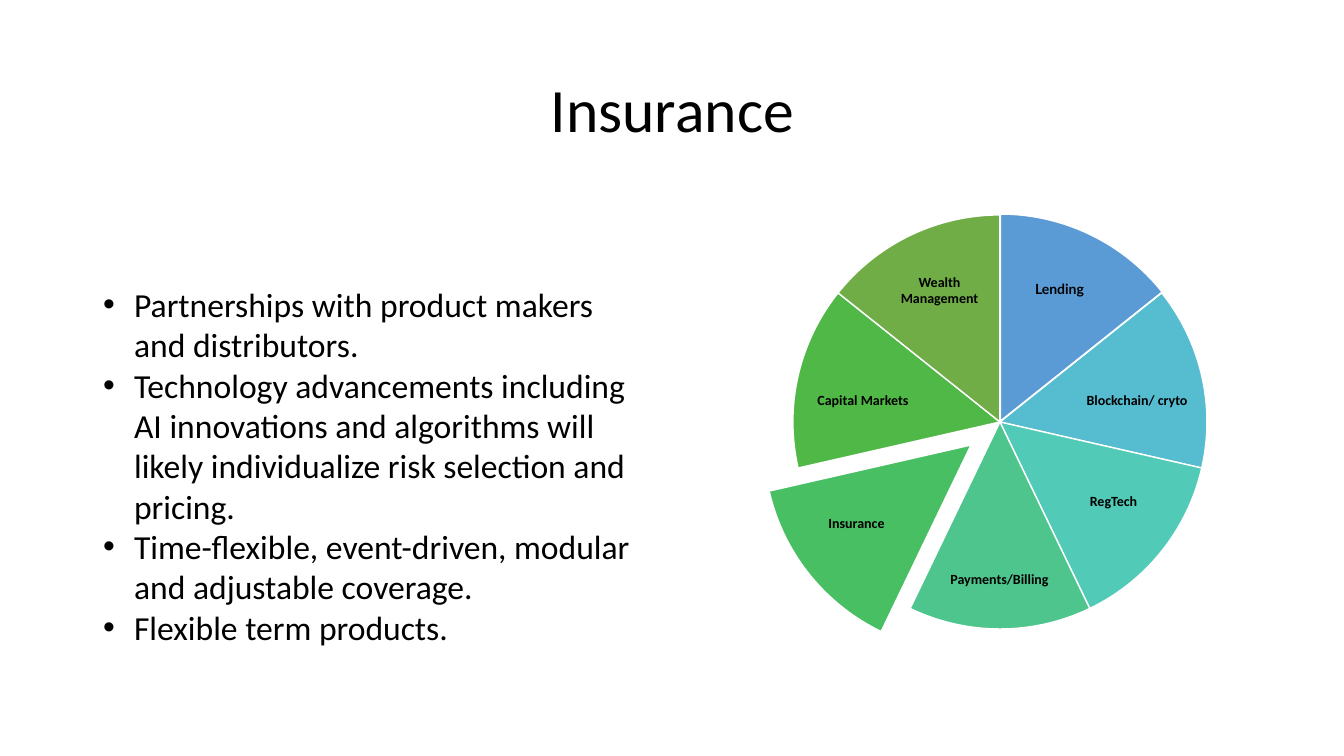
"""Build the Insurance slide: a bullet list beside a seven-slice pie with one slice pulled out."""
import math
from dataclasses import dataclass

import pptx
import pptx.dml.color
import pptx.enum.shapes
import pptx.enum.text
import pptx.util

HEADING = "Insurance"
POINTS = [
    "Partnerships with product makers and distributors.",
    "Technology advancements including AI innovations and algorithms will "
    "likely individualize risk selection and pricing.",
    "Time-flexible, event-driven, modular and adjustable coverage.",
    "Flexible term products.",
]
SECTORS = [
    ("Lending", "5B9BD5", 1, (1003, 254, 113, 72), "Lato"),
    ("Blockchain/ cryto", "56BCD0", 0, (1077, 363, 120, 77), "Calibri"),
    ("RegTech", "52CAB8", 0, (1059, 462, 109, 79), "Calibri"),
    ("Payments/Billing", "4DC58D", 0, (944, 540, 111, 79), "Calibri"),
    ("Insurance", "49BF64", 37, (802, 484, 109, 79), "Calibri"),
    ("Capital Markets", "50B846", 0, (803, 363, 120, 77), "Calibri"),
    ("Wealth Management", "70AD47", 0, (883, 255, 113, 72), "Calibri"),
]
SLIDE_SIZE = (1344, 756)
HEADING_BOX = (93, 40, 1159, 146)
POINTS_BOX = (93, 279, 556, 377)
PIE_CENTER, PIE_RADIUS, PIE_START = (1000, 422), 207, 270
BULLET_INDENT = 31
LABEL_INSET = 1


@dataclass(frozen=True)
class Theme:
    font: str = "Calibri"
    ink: str = "000000"
    paper: str = "FFFFFF"
    heading_size: int = 44
    points_size: int = 24
    label_size: int = 10
    line_spacing: float = 0.9
    outline: int = 1


THEME = Theme()


def px(length):
    return pptx.util.Emu(round(length * 914400 / 100.8))


def rgb(value):
    return pptx.dml.color.RGBColor.from_string(value)


def apply(target, formats):
    for name, value in formats.items():
        setattr(target, name, value)


def place(shape, box):
    apply(shape, dict(zip(("left", "top", "width", "height"), map(px, box))))


def style_font(paragraph, size, face=THEME.font, bold=False):
    apply(paragraph.font, {"name": face, "size": pptx.util.Pt(size), "bold": bold})
    paragraph.font.color.rgb = rgb(THEME.ink)


def write_line(frame, text, size, face=THEME.font, bold=False):
    frame.text = text
    line = frame.paragraphs[0]
    apply(line, {"alignment": pptx.enum.text.PP_ALIGN.CENTER,
                 "line_spacing": THEME.line_spacing})
    apply(frame, {"vertical_anchor": pptx.enum.text.MSO_ANCHOR.MIDDLE, "word_wrap": True})
    style_font(line, size, face, bold)


def write_points(body):
    place(body, POINTS_BOX)
    frame = body.text_frame
    frame.text = "\n".join(POINTS)
    apply(frame, {"vertical_anchor": pptx.enum.text.MSO_ANCHOR.TOP, "word_wrap": True,
                  "auto_size": pptx.enum.text.MSO_AUTO_SIZE.SHAPE_TO_FIT_TEXT})
    for point in frame.paragraphs:
        properties = point._p.get_or_add_pPr()
        properties.set("marL", str(px(BULLET_INDENT)))
        properties.set("indent", str(-px(BULLET_INDENT)))
        bullet = pptx.oxml.xmlchemy.OxmlElement("a:buChar")
        bullet.set("char", "•")
        properties.append(bullet)
        point.space_before = pptx.util.Pt(0)
        style_font(point, THEME.points_size)


def draw_pie(shapes):
    sweep = 360 / len(SECTORS)
    for index, (sector, color, pull, label_box, face) in enumerate(SECTORS):
        start = PIE_START + index * sweep
        middle = math.radians(start + sweep / 2)
        left = PIE_CENTER[0] - PIE_RADIUS + pull * math.cos(middle)
        top = PIE_CENTER[1] - PIE_RADIUS + pull * math.sin(middle)
        box = (left, top, 2 * PIE_RADIUS, 2 * PIE_RADIUS)
        slice_ = shapes.add_shape(pptx.enum.shapes.MSO_SHAPE.PIE, *map(px, box))
        for side, angle in enumerate((start, start + sweep)):
            slice_.adjustments[side] = angle % 360 * 0.6
        slice_.shadow.inherit = False
        slice_.fill.solid()
        slice_.fill.fore_color.rgb = rgb(color)
        slice_.line.color.rgb = rgb(THEME.paper)
        slice_.line.width = pptx.util.Pt(THEME.outline)

        label = shapes.add_textbox(*map(px, label_box)).text_frame
        apply(label, dict.fromkeys(
            ("margin_left", "margin_top", "margin_right", "margin_bottom"), px(LABEL_INSET)))
        write_line(label, sector, THEME.label_size, face, bold=True)


def main():
    deck = pptx.Presentation()
    deck.slide_width, deck.slide_height = map(px, SLIDE_SIZE)
    slide = deck.slides.add_slide(deck.slide_layouts[1])
    heading = slide.shapes.title
    place(heading, HEADING_BOX)
    write_line(heading.text_frame, HEADING, THEME.heading_size)
    draw_pie(slide.shapes.add_group_shape().shapes)
    write_points(slide.placeholders[1])
    deck.save("out.pptx")


if __name__ == "__main__":
    main()
